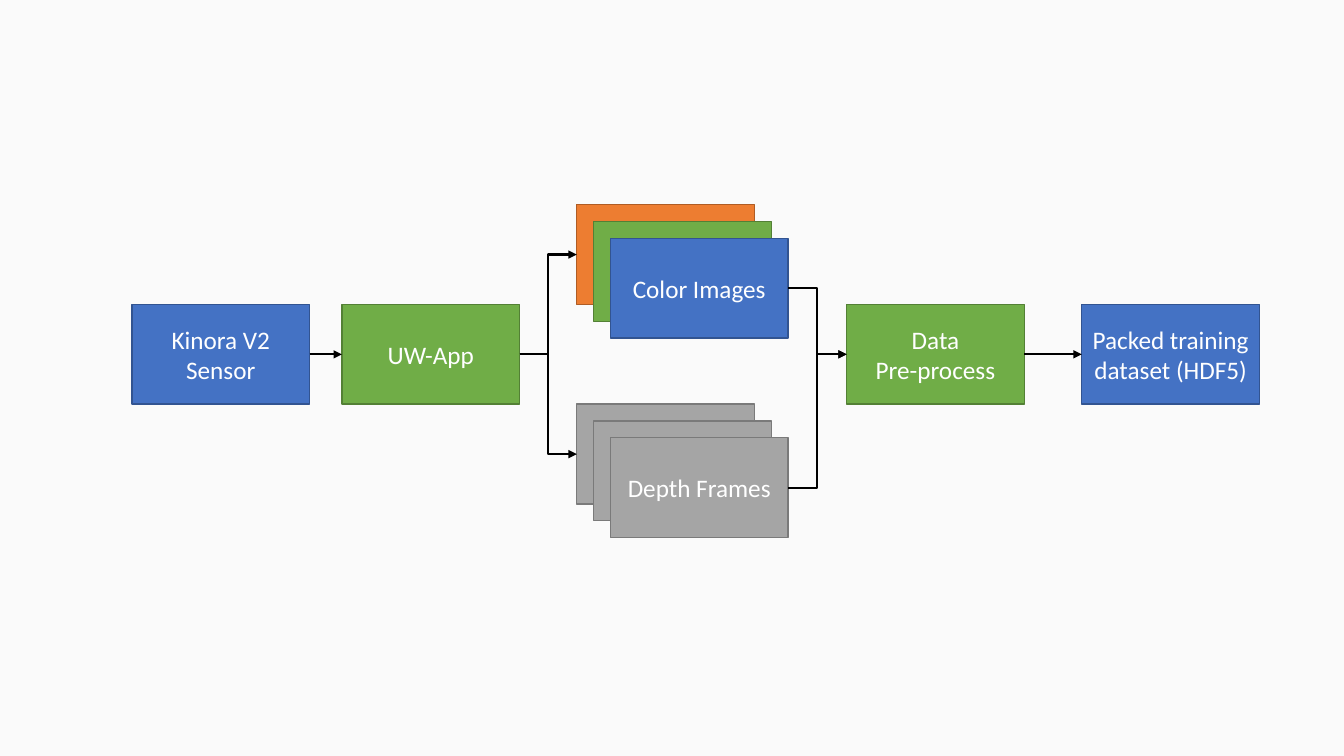
import pptx
import pptx.dml.color
import pptx.enum.shapes
import pptx.enum.text
import pptx.oxml.ns
import pptx.util
from lxml import etree

Pt = pptx.util.Pt
RGBColor = pptx.dml.color.RGBColor

BACKGROUND = RGBColor(0xFA, 0xFA, 0xFA)
WHITE = RGBColor(0xFF, 0xFF, 0xFF)
BLACK = RGBColor(0, 0, 0)
BLUE = (RGBColor(0x44, 0x72, 0xC4), RGBColor(0x32, 0x54, 0x91))
GREEN = (RGBColor(0x70, 0xAD, 0x47), RGBColor(0x53, 0x80, 0x35))
ORANGE = (RGBColor(0xED, 0x7D, 0x31), RGBColor(0xAF, 0x5C, 0x24))
GRAY = (RGBColor(0xA5, 0xA5, 0xA5), RGBColor(0x7A, 0x7A, 0x7A))

BOX_WIDTH, BOX_HEIGHT = 127, 71.25
STACK_STEP = 12
LEFT_SITE, RIGHT_SITE = 1, 3


def write_text(box, text, size=18, color=WHITE, font="Calibri"):
    """Write centred text into a box, one paragraph per line."""
    frame = box.text_frame
    frame.word_wrap = True
    frame.vertical_anchor = pptx.enum.text.MSO_ANCHOR.MIDDLE
    frame.text = text
    for para in frame.paragraphs:
        para.alignment = pptx.enum.text.PP_ALIGN.CENTER
        for span in para.runs:
            span.font.name = font
            span.font.size = Pt(size)
            span.font.color.rgb = color


def add_box(page, left, top, colors, text=""):
    """Add one outlined box of the flow and return it."""
    box = page.shapes.add_shape(
        pptx.enum.shapes.MSO_SHAPE.RECTANGLE,
        Pt(left), Pt(top), Pt(BOX_WIDTH), Pt(BOX_HEIGHT))
    fill, outline = colors
    box.shadow.inherit = False
    box.fill.solid()
    box.fill.fore_color.rgb = fill
    box.line.color.rgb = outline
    box.line.width = Pt(1)
    if text:
        write_text(box, text)
    return box


def add_stack(page, left, top, card_colors, text):
    """Add overlapping boxes, labelled in front; return the back and front ones."""
    last = len(card_colors) - 1
    cards = [
        add_box(page, left + index * STACK_STEP, top + index * STACK_STEP,
                colors, text if index == last else "")
        for index, colors in enumerate(card_colors)]
    return cards[0], cards[-1]


def add_arrow(page, source, target, kind=pptx.enum.shapes.MSO_CONNECTOR.ELBOW):
    """Join the right side of one box to the left side of another."""
    arrow = page.shapes.add_connector(
        kind, source.left + source.width, source.top + source.height // 2,
        target.left, target.top + target.height // 2)
    arrow.begin_connect(source, RIGHT_SITE)
    arrow.end_connect(target, LEFT_SITE)
    arrow.line.color.rgb = BLACK
    arrow.line.width = Pt(1.5)
    qn = pptx.oxml.ns.qn
    line = arrow.line._get_or_add_ln()
    etree.SubElement(line, qn("a:tailEnd"), type="triangle")
    etree.SubElement(arrow._element.spPr, qn("a:effectLst"))


def add_pipeline(page, left, top):
    """Lay out the data pipeline from the left and top of its middle row."""
    sensor = add_box(page, left, top, BLUE, "Kinora V2 Sensor")
    app = add_box(page, left + 150, top, GREEN, "UW-App")
    color_back, color_front = add_stack(
        page, left + 317.75, top - BOX_HEIGHT, (ORANGE, GREEN, BLUE), "Color Images")
    depth_back, depth_front = add_stack(
        page, left + 317.75, top + BOX_HEIGHT, (GRAY,) * 3, "Depth Frames")
    process = add_box(page, left + 510.5, top, GREEN, "Data\nPre-process")
    dataset = add_box(page, left + 678.5, top, BLUE, "Packed training dataset (HDF5)")

    straight = pptx.enum.shapes.MSO_CONNECTOR.STRAIGHT
    add_arrow(page, sensor, app, straight)
    for back, front in ((color_back, color_front), (depth_back, depth_front)):
        add_arrow(page, app, back)
        add_arrow(page, front, process)
    add_arrow(page, process, dataset, straight)


def main():
    """Build and save the one-slide deck."""
    deck = pptx.Presentation()
    deck.slide_width, deck.slide_height = Pt(960), Pt(540)
    page = deck.slides.add_slide(deck.slide_layouts.get_by_name("Blank"))
    page.background.fill.solid()
    page.background.fill.fore_color.rgb = BACKGROUND
    add_pipeline(page, 94.25, 217.5)
    deck.save("out.pptx")


if __name__ == "__main__":
    main()
